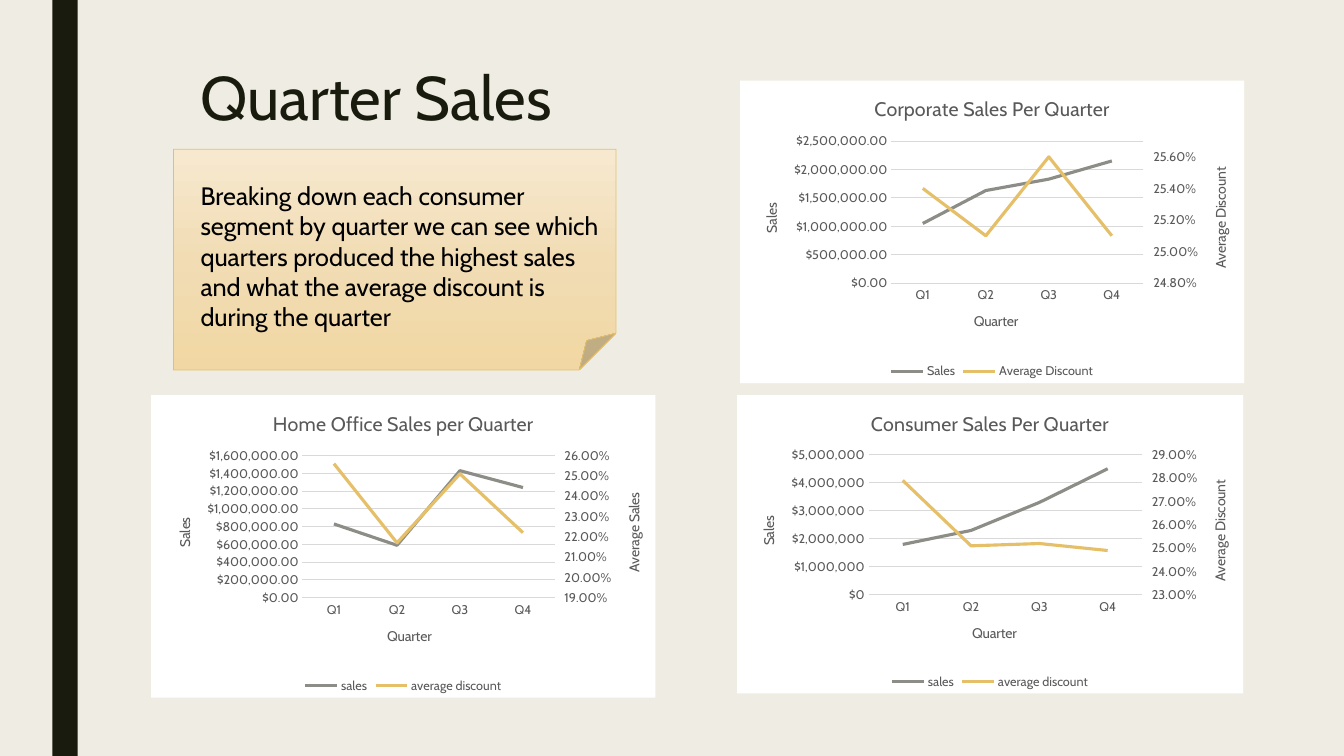
from copy import deepcopy
from lxml import etree
from pptx import Presentation, util as u
from pptx.chart import axis, data
from pptx.dml.color import RGBColor
from pptx.enum import chart as ch, shapes, text
from pptx.oxml import parse_xml
from pptx.oxml.ns import nsdecls, qn

# Content
TITLE = "Quarter Sales"
NOTE = ("Breaking down each consumer segment by quarter we can see which "
        "quarters produced the highest sales and what the average discount "
        "is during the quarter")
QUARTERS = ["Q1", "Q2", "Q3", "Q4"]
CENTS, WHOLE, SHARE = '"$"#,##0.00', '"$"#,##0', "0.00%"
# box; inner plot as shares of the box; scales as (low, high, step)
CHARTS = [
    dict(title="Consumer Sales Per Quarter", box=(7.31, 3.92, 5.02, 2.96),
         plot=(0.26, 0.2, 0.54, 0.47), right="Average Discount", fmt=WHOLE,
         names=("sales", "average discount"),
         sales=(1800000, 2300000, 3300000, 4500000),
         rate=(0.279, 0.251, 0.252, 0.249),
         scales=((0, 5000000, 1000000), (0.23, 0.29, 0.01))),
    dict(title="Corporate Sales Per Quarter", box=(7.34, 0.8, 5, 3),
         plot=(0.3, 0.2, 0.5, 0.47), right="Average Discount", fmt=CENTS,
         names=("Sales", "Average Discount"),
         sales=(1050000, 1630000, 1830000, 2150000),
         rate=(0.254, 0.251, 0.256, 0.251),
         scales=((0, 2500000, 500000), (0.248, 0.257, 0.001))),
    dict(title="Home Office Sales per Quarter", box=(1.5, 3.92, 5, 3),
         plot=(0.3, 0.2, 0.5, 0.47), right="Average Sales", fmt=CENTS,
         names=("sales", "average discount"),
         sales=(830000, 590000, 1430000, 1240000),
         rate=(0.256, 0.217, 0.251, 0.222),
         scales=((0, 1600000, 200000), (0.19, 0.26, 0.01))),
]
HUES = dict(back="EFEDE3", dark="191B0E", black="000000", grey="595959",
            grid="D9D9D9", sales="8C8D86", gold="E6C069", white="FFFFFF")
FADE = [(0, "F7E9D0"), (50, "F1DCB4"), (100, "F1D7A3")]
FACE = "Cabin"


def hue(name):
    return RGBColor.from_string(HUES[name])


def style(font, size, name):
    font.size, font.name, font.bold = u.Pt(size), FACE, False
    font.color.rgb = hue(name)


def stroke(line, name, width):
    line.color.rgb = hue(name)
    line.width = u.Pt(width)


def place(box):
    return [u.Inches(n) for n in box]


def write(frame, words, size, name):
    run = frame.paragraphs[0].add_run()
    run.text = words
    style(run.font, size, name)


def shape(kind, box):
    item = slide.shapes.add_shape(kind, *place(box))
    item.shadow.inherit = False
    return item


def label(box, words, size, name):
    frame = slide.shapes.add_textbox(*place(box)).text_frame
    frame.word_wrap = True
    frame.vertical_anchor = text.MSO_ANCHOR.TOP
    write(frame, words, size, name)
    return frame.paragraphs[0]


def head(part, words, turn=False):
    frame = part.axis_title.text_frame
    frame.clear()
    write(frame, words, 10, "grey")
    if turn:
        body = part.axis_title.format and frame._txBody.bodyPr
        body.set("rot", "-5400000")
        body.set("vert", "horz")


def scale(part, span, fmt):
    part.minimum_scale, part.maximum_scale, part.major_unit = span
    part.tick_labels.number_format = fmt
    part.tick_labels.number_format_is_linked = False


def put(node, tag, value):
    node.find(qn("c:" + tag)).set("val", value)


def split(chart, spec):
    """Move the second series to a right-hand axis."""
    area = chart._chartSpace.chart.plotArea
    left = area.find(qn("c:lineChart"))
    right = deepcopy(left)
    left.remove(left.findall(qn("c:ser"))[1])
    right.remove(right.findall(qn("c:ser"))[0])
    left.addnext(right)
    cat, val = area.find(qn("c:catAx")), area.find(qn("c:valAx"))
    cat2, val2 = deepcopy(cat), deepcopy(val)
    val.addnext(val2)
    val2.addnext(cat2)
    for node, code in zip(right.findall(qn("c:axId")), ("501", "502")):
        node.set("val", code)
    for node, own, other in ((cat2, "501", "502"), (val2, "502", "501")):
        put(node, "axId", own)
        put(node, "crossAx", other)
    put(val2, "axPos", "r")
    put(val2, "crosses", "max")
    hid, side = axis.CategoryAxis(cat2), axis.ValueAxis(val2)
    hid.has_title, hid.visible = False, False
    side.has_major_gridlines = False
    side.major_tick_mark = ch.XL_TICK_MARK.OUTSIDE
    scale(side, spec["scales"][1], SHARE)
    head(side, spec["right"], True)
    # Inner plot position
    old = area.find(qn("c:layout"))
    if old is not None:
        area.remove(old)
    lay = etree.Element(qn("c:layout"))
    man = etree.SubElement(lay, qn("c:manualLayout"))
    pairs = [("layoutTarget", "inner"), ("xMode", "edge"), ("yMode", "edge")]
    for tag, value in pairs + list(zip("xywh", spec["plot"])):
        etree.SubElement(man, qn("c:" + tag)).set("val", str(value))
    area.insert(0, lay)


def graph(spec):
    book = data.CategoryChartData()
    book.categories = QUARTERS
    for name, key, fmt in zip(spec["names"], ("sales", "rate"),
                              (spec["fmt"], SHARE)):
        book.add_series(name, spec[key], fmt)
    chart = slide.shapes.add_chart(ch.XL_CHART_TYPE.LINE,
                                   *place(spec["box"]), book).chart
    style(chart.font, 10, "black")
    chart.has_title = True
    write(chart.chart_title.text_frame, spec["title"], 14, "grey")
    chart.chart_title.include_in_layout = False
    chart.has_legend = True
    chart.legend.position = ch.XL_LEGEND_POSITION.BOTTOM
    chart.legend.include_in_layout = False
    style(chart.legend.font, 9, "grey")
    # Lines
    chart.plots[0].vary_by_categories = False
    for row, name in zip(chart.plots[0].series, ("sales", "gold")):
        row.smooth = False
        row.marker.style = ch.XL_MARKER_STYLE.NONE
        stroke(row.format.line, name, 2.25)
    # Axes
    cat, val = chart.category_axis, chart.value_axis
    for part in (cat, val):
        part.major_tick_mark = ch.XL_TICK_MARK.NONE
        part.minor_tick_mark = ch.XL_TICK_MARK.NONE
        style(part.tick_labels.font, 9, "grey")
    stroke(cat.format.line, "grid", 0.75)
    val.format.line.fill.background()
    stroke(val.major_gridlines.format.line, "grid", 0.75)
    scale(val, spec["scales"][0], spec["fmt"])
    head(cat, "Quarter")
    head(val, "Sales", True)
    split(chart, spec)
    # White card
    chart._chartSpace.chart.addnext(parse_xml(
        f'<c:spPr {nsdecls("c", "a")}><a:solidFill><a:srgbClr '
        f'val="{HUES["white"]}"/></a:solidFill><a:ln><a:noFill/></a:ln>'
        '</c:spPr>'))


deck = Presentation()
deck.slide_width, deck.slide_height = u.Inches(13.33), u.Inches(7.5)
slide = deck.slides.add_slide(deck.slide_layouts[6])
slide.background.fill.solid()
slide.background.fill.fore_color.rgb = hue("back")

# Side bar
bar = shape(shapes.MSO_SHAPE.RECTANGLE, (0.52, 0, 0.25, 7.5))
bar.fill.solid()
bar.fill.fore_color.rgb = hue("dark")
bar.line.fill.background()

# Note paper
paper = shape(shapes.MSO_SHAPE.FOLDED_CORNER, (1.72, 1.48, 4.39, 2.19))
stroke(paper.line, "gold", 0.5)
stops = "".join(f'<a:gs pos="{at * 1000}"><a:srgbClr val="{code}"/></a:gs>'
                for at, code in FADE)
paper._element.spPr.find(qn("a:prstGeom")).addnext(parse_xml(
    f'<a:gradFill {nsdecls("a")}><a:gsLst>{stops}</a:gsLst>'
    '<a:lin ang="5400000" scaled="0"/></a:gradFill>'))

# Heading, charts, note
label((1.89, 0.62, 4.21, 0.86), TITLE, 44, "dark").line_spacing = 0.89
for spec in CHARTS:
    graph(spec)
label((1.89, 1.74, 4.21, 1.62), NOTE, 18, "black")

deck.save("out.pptx")
